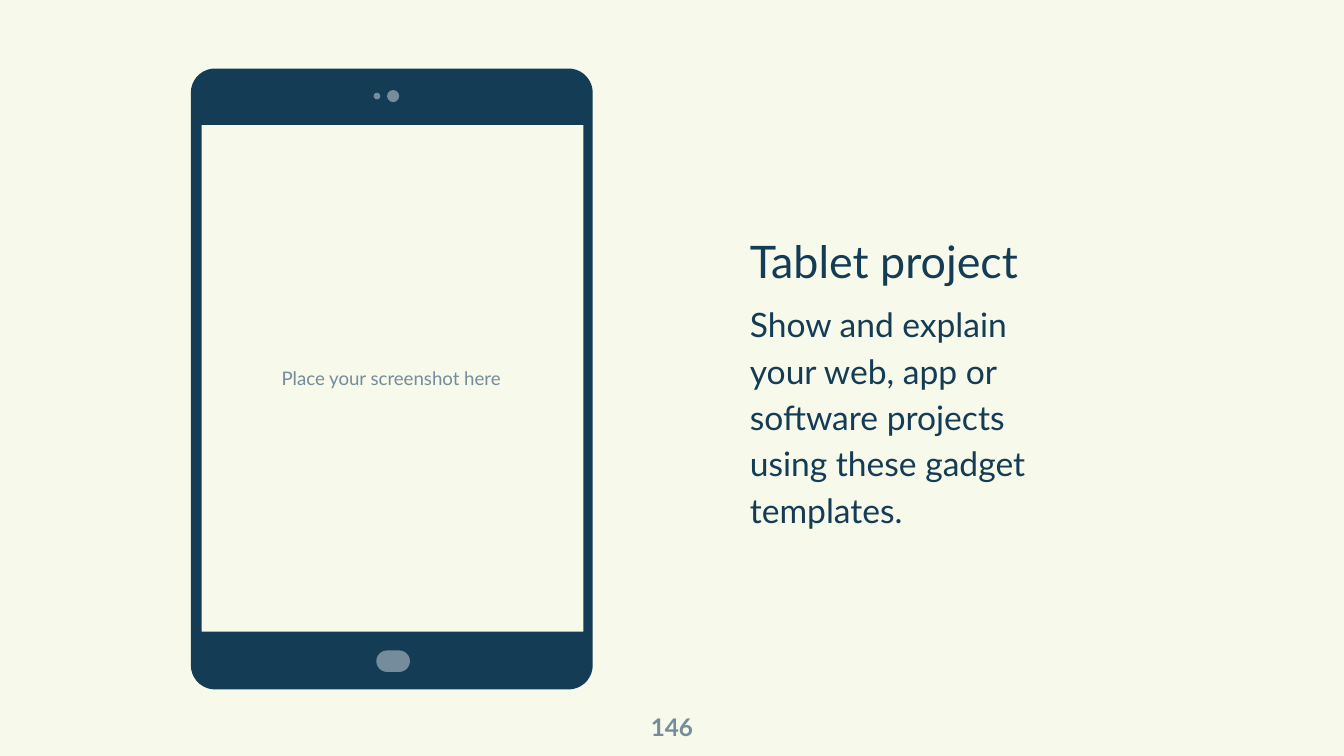
from math import cos, radians, sin

from pptx import Presentation
from pptx.dml.color import RGBColor
from pptx.enum.shapes import MSO_SHAPE as Shape
from pptx.enum.text import MSO_ANCHOR as Anchor, PP_ALIGN as Align
from pptx.util import Inches, Pt

COLORS = {"background": "F7F9EA", "navy": "143C55", "gray": "748C9C"}
FONT = "Lato"


def color(name):
    return RGBColor.from_string(COLORS[name])


def paint(shape, fill):
    shape.shadow.inherit = False
    shape.fill.solid()
    shape.fill.fore_color.rgb = color(fill)
    shape.line.fill.background()


def add_text(slide, box, lines, fill, align=Align.LEFT, inset=0, bold=False):
    """Add a middle-anchored text box; lines holds (text, size) pairs."""
    frame = slide.shapes.add_textbox(*map(Inches, box)).text_frame
    frame.word_wrap = True
    frame.vertical_anchor = Anchor.MIDDLE
    frame.margin_left = frame.margin_right = Inches(inset)
    frame.margin_top = frame.margin_bottom = Inches(inset)
    for index, (text, size) in enumerate(lines):
        paragraph = frame.add_paragraph() if index else frame.paragraphs[0]
        paragraph.text = text
        paragraph.alignment = align
        font = paragraph.runs[0].font
        font.name, font.size, font.bold = FONT, Pt(size), bold
        font.color.rgb = color(fill)
    return frame


def rounded_outline(left, top, width, height, radius):
    """Return clockwise points of a rounded rectangle."""
    right, bottom = left + width - radius, top + height - radius
    left, top = left + radius, top + radius
    corners = [(left, top, 180), (right, top, 270), (right, bottom, 0), (left, bottom, 90)]
    return [
        (x + radius * cos(radians(start + step)), y + radius * sin(radians(start + step)))
        for x, y, start in corners
        for step in range(0, 91, 10)
    ]


def add_frame(shapes, body, radius, screen):
    """Add the tablet body with an open window for the screen."""
    outline = rounded_outline(*map(Inches, body), Inches(radius))
    left, top, width, height = map(Inches, screen)
    right, bottom = left + width, top + height
    builder = shapes.build_freeform(*outline[0])
    builder.add_line_segments(outline[1:])
    builder.move_to(left, top)
    builder.add_line_segments([(left, bottom), (right, bottom), (right, top)])
    paint(builder.convert_to_shape(), "navy")


def add_detail(shapes, preset, box):
    shape = shapes.add_shape(preset, *map(Inches, box))
    paint(shape, "gray")
    return shape


def add_tablet(slide):
    shapes = slide.shapes.add_group_shape().shapes
    add_frame(shapes, (1.42, 0.51, 2.99, 4.62), 0.18, (1.5, 0.93, 2.84, 3.77))
    # Home button, sensor and camera
    button = add_detail(shapes, Shape.ROUNDED_RECTANGLE, (2.8, 4.84, 0.25, 0.16))
    button.adjustments[0] = 0.5
    add_detail(shapes, Shape.OVAL, (2.78, 0.69, 0.05, 0.05))
    add_detail(shapes, Shape.OVAL, (2.88, 0.67, 0.09, 0.09))


def main():
    presentation = Presentation()
    # Widescreen, 16:9
    presentation.slide_width = Inches(10)
    presentation.slide_height = Inches(10 * 9 / 16)
    slide = presentation.slides.add_slide(presentation.slide_layouts[6])
    slide.background.fill.solid()
    slide.background.fill.fore_color.rgb = color("background")

    # Screen hint and page number
    add_text(slide, (1.49, 0.93, 2.84, 3.76), [("Place your screenshot here", 10)],
             "gray", Align.CENTER, inset=0.1)
    add_text(slide, (4.7, 5.19, 0.6, 0.43), [("146", 13)], "gray", Align.CENTER, bold=True)

    add_tablet(slide)

    # Project description
    description = add_text(slide, (5.58, 0.96, 2.37, 3.7), [
        ("Tablet project", 24),
        ("Show and explain your web, app or software projects "
         "using these gadget templates.", 18),
    ], "navy")
    for paragraph in description.paragraphs:
        paragraph.line_spacing = 1.15
    description.paragraphs[1].space_before = Pt(6)

    presentation.save("out.pptx")


if __name__ == "__main__":
    main()
